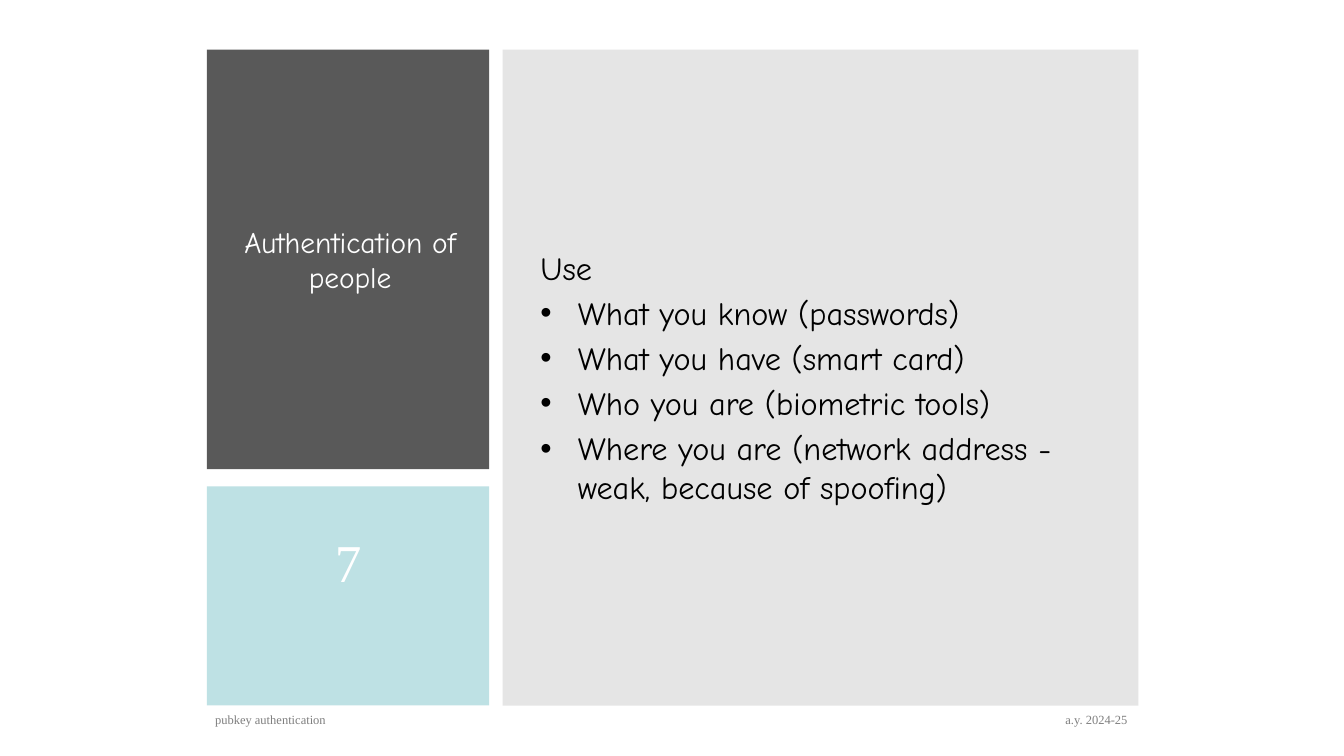
from pptx import Presentation
from pptx.dml.color import RGBColor
from pptx.enum.shapes import MSO_SHAPE
from pptx.enum.text import MSO_ANCHOR, MSO_AUTO_SIZE, PP_ALIGN
from pptx.oxml.ns import qn
from pptx.util import Inches, Pt
from lxml.etree import SubElement

COLORS = {"dark": "595959", "aqua": "BBE0E3", "gray": "7F7F7F",
          "white": "FFFFFF", "black": "000000"}
HAND, SERIF = "Comic Neue", "Times New Roman"


def color(name):
    return RGBColor.from_string(COLORS[name])


class Deck:
    def __init__(self):
        self.prs = Presentation()
        self.prs.slide_width = Inches(10)
        self.prs.slide_height = Inches(10) * 9 // 16
        self.slide = self.prs.slides.add_slide(self.prs.slide_layouts[1])

    def panel(self, box, fill, alpha=100):
        shape = self.slide.shapes.add_shape(MSO_SHAPE.RECTANGLE, *map(Inches, box))
        shape.shadow.inherit = False
        shape.line.fill.background()
        shape.fill.solid()
        shape.fill.fore_color.rgb = color(fill)
        if alpha < 100:
            tint = shape._element.spPr.find(qn("a:solidFill"))[0]
            SubElement(tint, qn("a:alpha"), val=str(alpha * 1000))

    def frame(self, shape, anchor):
        frame = shape.text_frame
        frame.word_wrap = True
        frame.auto_size = MSO_AUTO_SIZE.NONE
        frame.vertical_anchor = anchor
        frame.margin_left = frame.margin_right = Inches(0.07)
        frame.margin_top = frame.margin_bottom = Inches(0.04)
        return frame

    def style(self, para, size, font, ink, align):
        para.alignment = align
        para.font.size = Pt(size)
        para.font.name = font
        para.font.color.rgb = color(ink)

    def holder(self, index, box):
        """Move a template placeholder into its box, in front of the panels."""
        shape = self.slide.placeholders[index]
        shape.left, shape.top, shape.width, shape.height = map(Inches, box)
        self.slide.shapes._spTree.append(shape._element)
        return self.frame(shape, MSO_ANCHOR.MIDDLE)

    def title(self, box, text):
        para = self.holder(0, box).paragraphs[0]
        para.text = text
        self.style(para, 15.75, HAND, "white", PP_ALIGN.CENTER)

    def bullet(self, para, char):
        props = para._p.get_or_add_pPr()
        hang = Inches(0.28)
        props.set("marL", str(hang))
        props.set("indent", str(-hang))
        if char:
            tint = SubElement(props, qn("a:buClr"))
            SubElement(tint, qn("a:srgbClr"), val=COLORS["black"])
            SubElement(props, qn("a:buFont"), typeface="Arial")
            SubElement(props, qn("a:buChar"), char=char)
        else:
            SubElement(props, qn("a:buNone"))

    def body(self, box, lead, items):
        frame = self.holder(1, box)
        for i, text in enumerate([lead] + items):
            para = frame.add_paragraph() if i else frame.paragraphs[0]
            para.text = text
            self.bullet(para, "•" if i else None)
            para.space_before = Pt(3.5 if i else 0)
            self.style(para, 17.25, HAND, "black", PP_ALIGN.LEFT)

    def label(self, box, text, size, ink, align):
        shape = self.slide.shapes.add_textbox(*map(Inches, box))
        para = self.frame(shape, MSO_ANCHOR.TOP).paragraphs[0]
        para.text = text
        self.style(para, size, SERIF, ink, align)


def main():
    deck = Deck()
    deck.panel((1.54, 0.37, 2.1, 3.12), "dark")
    deck.title((1.73, 0.6, 1.75, 2.66), "Authentication of people")
    deck.panel((1.54, 3.62, 2.1, 1.63), "aqua", 95)
    deck.label((1.98, 3.9, 1.22, 1.07), "7", 28.5, "white", PP_ALIGN.CENTER)
    deck.panel((3.74, 0.37, 4.73, 4.88), "gray", 20)
    deck.body((3.95, 0.56, 4.33, 4.49), "Use", [
        "What you know (passwords)",
        "What you have (smart card)",
        "Who you are (biometric tools)",
        "Where you are (network address - weak, because of spoofing)",
    ])
    deck.label((1.53, 5.26, 4.11, 0.3), "pubkey authentication", 6.75, "gray",
               PP_ALIGN.LEFT)
    deck.label((6.77, 5.26, 1.69, 0.3), "a.y. 2024-25", 6.75, "gray",
               PP_ALIGN.RIGHT)
    deck.prs.save("out.pptx")


if __name__ == "__main__":
    main()
